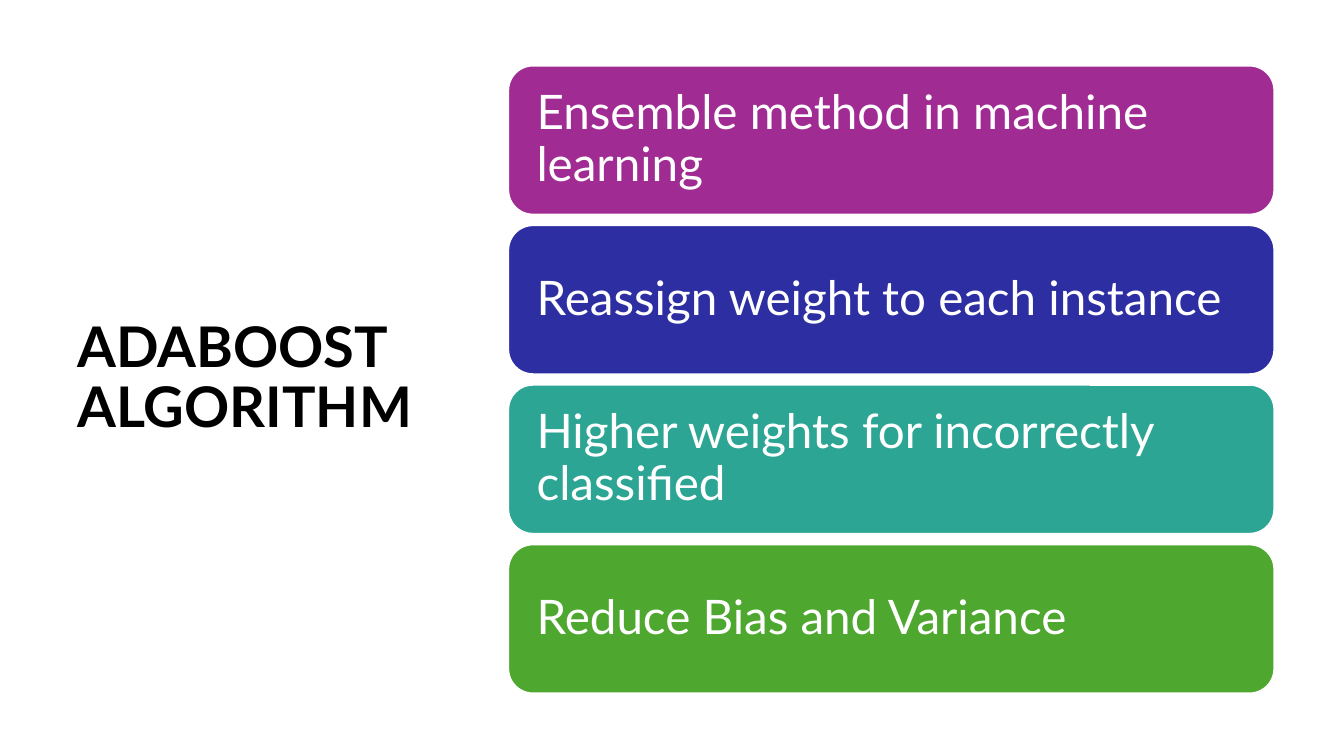
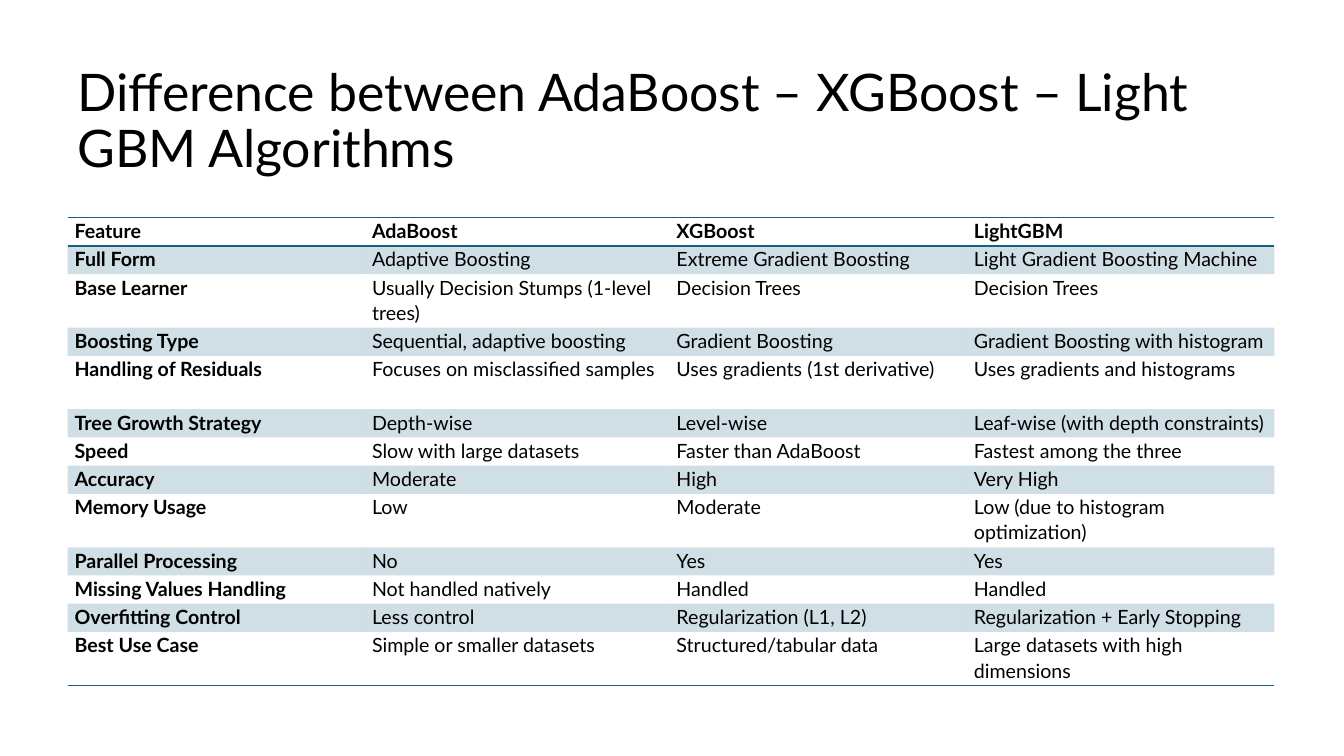
"""Build two slides about AdaBoost and related boosting algorithms."""
from dataclasses import dataclass

from lxml import etree
from pptx import Presentation
from pptx.dml.color import RGBColor
from pptx.enum.shapes import MSO_SHAPE
from pptx.enum.text import MSO_ANCHOR, PP_ALIGN
from pptx.oxml.ns import qn
from pptx.presentation import Presentation as Deck
from pptx.slide import Slide
from pptx.table import _Cell
from pptx.text.text import TextFrame
from pptx.util import Inches, Pt

ROUNDED = MSO_SHAPE.ROUNDED_RECTANGLE
MIDDLE = MSO_ANCHOR.MIDDLE
LEFT = PP_ALIGN.LEFT

FONT = "Lato"
COLORS = {
    "black": "000000",
    "white": "FFFFFF",
    "purple": "A02B93",
    "indigo": "2C2EA2",
    "teal": "2DA594",
    "green": "4EA72E",
    "table": "156082",
}
BAND_OPACITY = 20
MARGIN = 0.67
CONTENT_TOP = 0.6
CONTENT_WIDTH = 11.97


@dataclass(frozen=True)
class TextStyle:
    """Look of a paragraph."""

    size: float
    color: str = "black"
    bold: bool = False
    line_spacing: float = 0.9
    space_after: float = 0


@dataclass(frozen=True)
class Card:
    """One coloured statement."""

    text: str
    color: str


CARDS = [
    Card("Ensemble method in machine learning", "purple"),
    Card("Reassign weight to each instance", "indigo"),
    Card("Higher weights for incorrectly classified", "teal"),
    Card("Reduce Bias and Variance", "green"),
]
CARD_STYLE = TextStyle(34, "white")
CARD_LEFT, CARD_WIDTH, CARD_HEIGHT = 5.04, 7.6, 1.48
CARDS_TOP, CARDS_BOTTOM = 0.65, 6.88
CARD_INSET = 0.21

COLUMN_WIDTHS = [2.95, 3.02, 2.95, 3.05]
TABLE_TOP = 2.16
ROW_HEIGHT, TALL_ROW_HEIGHT = 0.28, 0.53
TALL_FEATURES = {"Base Learner", "Handling of Residuals", "Memory Usage", "Best Use Case"}
COMPARISON = [
    ("Feature", "AdaBoost", "XGBoost", "LightGBM"),
    ("Full Form", "Adaptive Boosting", "Extreme Gradient Boosting",
     "Light Gradient Boosting Machine"),
    ("Base Learner", "Usually Decision Stumps (1-level trees)", "Decision Trees",
     "Decision Trees"),
    ("Boosting Type", "Sequential, adaptive boosting", "Gradient Boosting",
     "Gradient Boosting with histogram"),
    ("Handling of Residuals", "Focuses on misclassified samples",
     "Uses gradients (1st derivative)", "Uses gradients and histograms"),
    ("Tree Growth Strategy", "Depth-wise", "Level-wise",
     "Leaf-wise (with depth constraints)"),
    ("Speed", "Slow with large datasets", "Faster than AdaBoost",
     "Fastest among the three"),
    ("Accuracy", "Moderate", "High", "Very High"),
    ("Memory Usage", "Low", "Moderate", "Low (due to histogram optimization)"),
    ("Parallel Processing", "No", "Yes", "Yes"),
    ("Missing Values Handling", "Not handled natively", "Handled", "Handled"),
    ("Overfitting Control", "Less control", "Regularization (L1, L2)",
     "Regularization + Early Stopping"),
    ("Best Use Case", "Simple or smaller datasets", "Structured/tabular data",
     "Large datasets with high dimensions"),
]


def rgb(name: str) -> RGBColor:
    """Return a palette colour."""
    return RGBColor.from_string(COLORS[name])


def write(frame: TextFrame, text: str, style: TextStyle) -> None:
    """Fill a text frame with one styled paragraph."""
    frame.word_wrap = True
    para = frame.paragraphs[0]
    para.text = text
    para.alignment = LEFT
    para.line_spacing = style.line_spacing
    para.space_after = Pt(style.space_after)
    para.font.name = FONT
    para.font.size = Pt(style.size)
    para.font.bold = style.bold
    para.font.color.rgb = rgb(style.color)


def add_slide(deck: Deck) -> Slide:
    """Add a blank slide."""
    return deck.slides.add_slide(deck.slide_layouts[6])


def add_title(slide: Slide, text: str, width: float, height: float, style: TextStyle) -> None:
    """Add a vertically centred title at the content corner."""
    box = slide.shapes.add_textbox(
        Inches(MARGIN), Inches(CONTENT_TOP), Inches(width), Inches(height))
    box.text_frame.vertical_anchor = MIDDLE
    write(box.text_frame, text, style)


def add_card(slide: Slide, card: Card, top: float) -> None:
    """Add a rounded card holding its statement."""
    shape = slide.shapes.add_shape(
        ROUNDED, Inches(CARD_LEFT), Inches(top), Inches(CARD_WIDTH), Inches(CARD_HEIGHT))
    shape.shadow.inherit = False
    shape.fill.solid()
    shape.fill.fore_color.rgb = rgb(card.color)
    shape.line.color.rgb = rgb("white")
    shape.line.width = Pt(1.5)
    frame = shape.text_frame
    frame.vertical_anchor = MIDDLE
    frame.margin_left = frame.margin_right = Inches(CARD_INSET)
    frame.margin_top = frame.margin_bottom = Inches(CARD_INSET)
    write(frame, card.text, CARD_STYLE)


def set_borders(cell: _Cell, ruled_sides: set[str]) -> None:
    """Rule the given sides of a cell and clear the others."""
    properties = cell._tc.get_or_add_tcPr()
    for position, side in enumerate(("L", "R", "T", "B")):
        line = etree.Element(qn(f"a:ln{side}"))
        properties.insert(position, line)
        if side in ruled_sides:
            line.set("w", str(Pt(1)))
            fill = etree.SubElement(line, qn("a:solidFill"))
            etree.SubElement(fill, qn("a:srgbClr"), val=COLORS["table"])
        else:
            etree.SubElement(line, qn("a:noFill"))


def fill_cell(cell: _Cell, banded: bool) -> None:
    """Give a cell the translucent band or no fill."""
    if not banded:
        cell.fill.background()
        return
    cell.fill.solid()
    cell.fill.fore_color.rgb = rgb("table")
    color = cell._tc.tcPr.find(f"{qn('a:solidFill')}/{qn('a:srgbClr')}")
    etree.SubElement(color, qn("a:alpha"), val=str(BAND_OPACITY * 1000))


def add_comparison(slide: Slide) -> None:
    """Add the feature table of the three algorithms."""
    heights = [TALL_ROW_HEIGHT if row[0] in TALL_FEATURES else ROW_HEIGHT
               for row in COMPARISON]
    table = slide.shapes.add_table(
        len(COMPARISON), len(COLUMN_WIDTHS), Inches(MARGIN), Inches(TABLE_TOP),
        Inches(CONTENT_WIDTH), Inches(sum(heights))).table
    table.first_row = table.horz_banding = False
    for column, width in zip(table.columns, COLUMN_WIDTHS):
        column.width = Inches(width)
    last_row = len(COMPARISON) - 1
    for row_index, values in enumerate(COMPARISON):
        table.rows[row_index].height = Inches(heights[row_index])
        ruled_sides = {0: {"T", "B"}, 1: {"T"}, last_row: {"B"}}.get(row_index, set())
        for column_index, value in enumerate(values):
            cell = table.cell(row_index, column_index)
            cell.margin_left = cell.margin_right = Inches(0.07)
            cell.margin_top = cell.margin_bottom = Inches(0)
            bold = row_index == 0 or column_index == 0
            write(cell.text_frame, value, TextStyle(14, "black", bold, 1.07, 8))
            fill_cell(cell, row_index % 2 == 1)
            set_borders(cell, ruled_sides)


def build_adaboost(deck: Deck) -> None:
    """Build the slide of AdaBoost statements."""
    slide = add_slide(deck)
    add_title(slide, "ADABOOST ALGORITHM", 3.82, 6.33, TextStyle(40, bold=True))
    pitch = (CARDS_BOTTOM - CARDS_TOP - CARD_HEIGHT) / (len(CARDS) - 1)
    for index, card in enumerate(CARDS):
        add_card(slide, card, CARDS_TOP + index * pitch)


def build_difference(deck: Deck) -> None:
    """Build the slide comparing the algorithms."""
    slide = add_slide(deck)
    add_title(slide, "Difference between AdaBoost – XGBoost – Light GBM Algorithms",
              CONTENT_WIDTH, 1.24, TextStyle(37))
    add_comparison(slide)


def main() -> None:
    """Build and save the deck."""
    deck = Presentation()
    deck.slide_width = Inches(13.33)
    deck.slide_height = Inches(7.5)
    build_adaboost(deck)
    build_difference(deck)
    deck.save("out.pptx")


if __name__ == "__main__":
    main()
